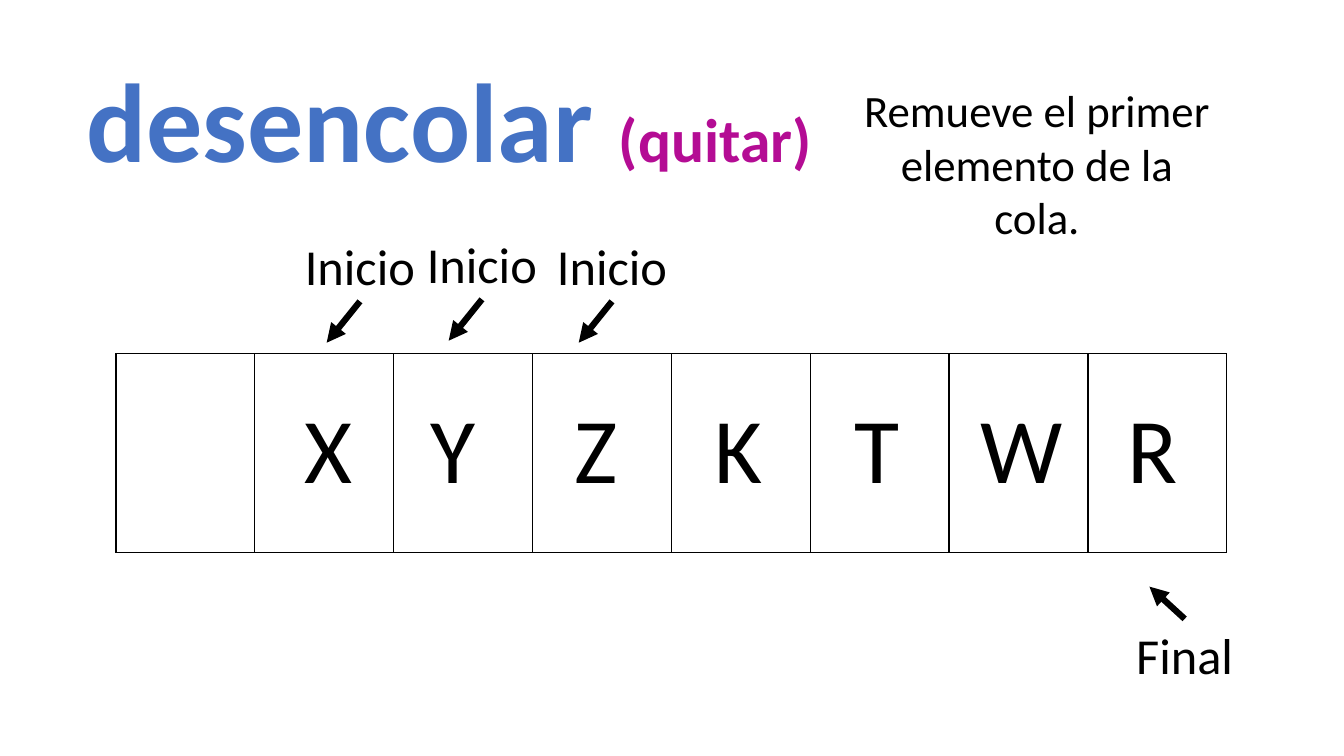
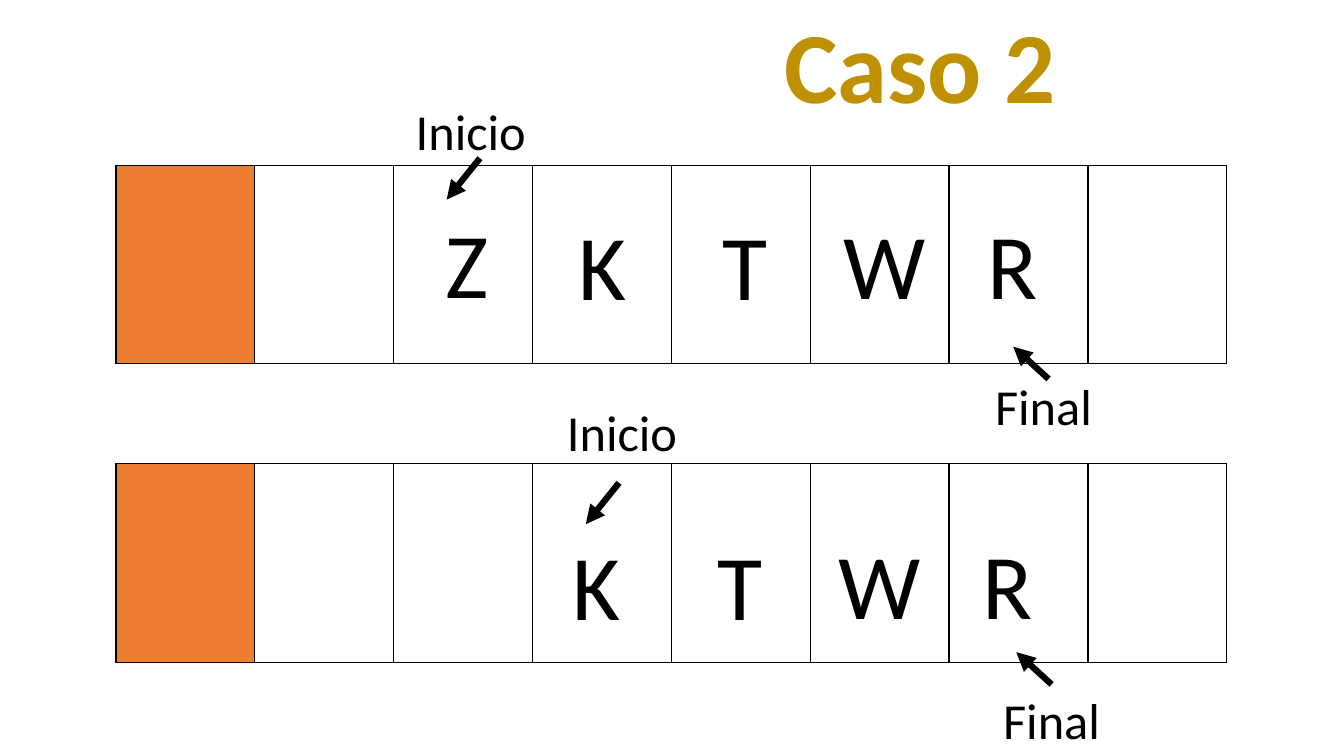
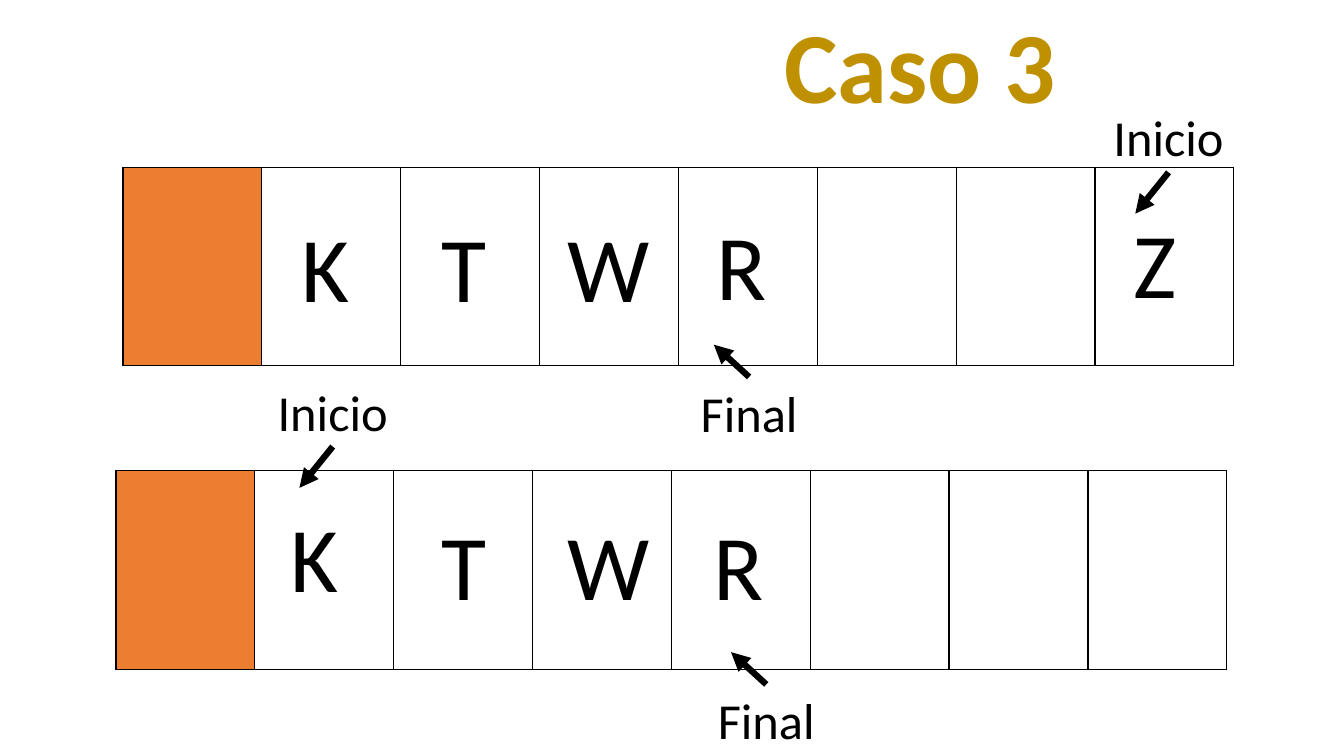
"""Three slides on removing the first element of a queue."""
from lxml import etree
from pptx import Presentation
from pptx.dml.color import RGBColor
from pptx.enum.shapes import MSO_CONNECTOR
from pptx.enum.text import MSO_AUTO_SIZE, PP_ALIGN
from pptx.oxml import parse_xml
from pptx.oxml.ns import nsdecls, qn
from pptx.util import Pt

PX = 9144
LEFT, CENTER = PP_ALIGN.LEFT, PP_ALIGN.CENTER
STRAIGHT = MSO_CONNECTOR.STRAIGHT
GROW = MSO_AUTO_SIZE.SHAPE_TO_FIT_TEXT
FONT = "Calibri"
BLACK, BLUE, MAGENTA, GOLD, ORANGE = "000000", "4472C4", "B40C94", "BF9000", "ED7D31"
CELLS, QUEUE_W, QUEUE_H = 8, 1102, 197
ARROW = {"Inicio": (-33, 41), "Final": (-35, -32)}

SLIDES = [
    {
        "title": [("desencolar ", 80, BLUE), ("(quitar)", 44, MAGENTA)],
        "title_box": (61, 45, 769, 145),
        "queues": [(115, 351, None)],
        "letters": [("X", 292, 383), ("Y", 417, 383), ("Z", 560, 383), ("K", 699, 383),
                    ("T", 838, 383), ("W", 963, 383), ("R", 1108, 383)],
        "pointers": [("Inicio", 292, 228, 357, 299), ("Inicio", 413, 226, 478, 297),
                     ("Inicio", 542, 228, 607, 299), ("Final", 1110, 614, 1175, 614)],
    },
    {
        "title": [("Caso 2", 72, GOLD)],
        "title_box": (528, -2, 769, 131),
        "queues": [(115, 164, ORANGE), (115, 460, ORANGE)],
        "letters": [("Z", 432, 200), ("K", 564, 202), ("T", 707, 202), ("W", 827, 201),
                    ("R", 970, 201), ("K", 558, 519), ("T", 702, 519), ("W", 822, 518),
                    ("R", 965, 518)],
        "pointers": [("Inicio", 402, 94, 476, 157), ("Final", 970, 367, 1040, 376),
                     ("Inicio", 552, 393, 614, 479), ("Final", 978, 679, 1043, 679)],
    },
    {
        "title": [("Caso 3", 72, GOLD)],
        "title_box": (528, -2, 769, 131),
        "queues": [(122, 166, ORANGE), (115, 467, ORANGE)],
        "letters": [("K", 289, 204), ("T", 428, 204), ("W", 553, 204), ("R", 701, 202),
                    ("Z", 1114, 200), ("K", 278, 491), ("T", 428, 499), ("W", 553, 499),
                    ("R", 698, 499)],
        "pointers": [("Inicio", 1094, 100, 1159, 171), ("Final", 678, 374, 743, 374),
                     ("Inicio", 265, 373, 330, 443), ("Final", 695, 679, 760, 679)],
    },
]


def rgb(value):
    return RGBColor.from_string(value)


def add_text(s, box, runs, align=CENTER, bold=False, wrap=True):
    tf = s.shapes.add_textbox(*(v * PX for v in box)).text_frame
    tf.word_wrap = wrap
    tf.auto_size = GROW
    p = tf.paragraphs[0]
    p.alignment = align
    p.font.name = FONT
    p.font.bold = bold
    for text, size, color in runs:
        r = p.add_run()
        r.text = text
        font = p.font if len(runs) == 1 else r.font
        font.size = Pt(size)
        font.color.rgb = rgb(color)


prs = Presentation()
prs.slide_width, prs.slide_height = 1333 * PX, 750 * PX

for content in SLIDES:
    s = prs.slides.add_slide(prs.slide_layouts[6])

    for x, y, first_fill in content["queues"]:
        table = s.shapes.add_table(1, CELLS, x * PX, y * PX, QUEUE_W * PX, QUEUE_H * PX).table
        table.first_row = table.horz_banding = False
        for i, column in enumerate(table.columns):
            column.width = QUEUE_W * PX // CELLS
            cell = table.cell(0, i)
            if i == 0 and first_fill:
                cell.fill.solid()
                cell.fill.fore_color.rgb = rgb(first_fill)
            else:
                cell.fill.background()
            tcPr = cell._tc.get_or_add_tcPr()
            for n, side in enumerate(("lnL", "lnR", "lnT", "lnB")):
                tcPr.insert(n, parse_xml(
                    f'<a:{side} {nsdecls("a")} w="12700"><a:solidFill>'
                    f'<a:srgbClr val="{BLACK}"/></a:solidFill></a:{side}>'))

    for letter, x, y in content["letters"]:
        add_text(s, (x, y, 86, 121), [(letter, 66, BLACK)], align=LEFT)

    for word, x, y, start_x, start_y in content["pointers"]:
        add_text(s, (x, y, 130, 71), [(word, 36, BLACK)], wrap=False)
        dx, dy = ARROW[word]
        arrow = s.shapes.add_connector(STRAIGHT, start_x * PX, start_y * PX,
                                       (start_x + dx) * PX, (start_y + dy) * PX)
        arrow.line.width = Pt(4.5)
        arrow.line.color.rgb = rgb(BLACK)
        etree.SubElement(arrow.line._get_or_add_ln(), qn("a:tailEnd"), type="triangle")
        etree.SubElement(arrow._element.spPr, qn("a:effectLst"))

    add_text(s, content["title_box"], content["title"], bold=True)

add_text(prs.slides[0], (838, 77, 381, 172),
         [("Remueve el primer elemento de la cola.", 32, BLACK)])

prs.save("out.pptx")
